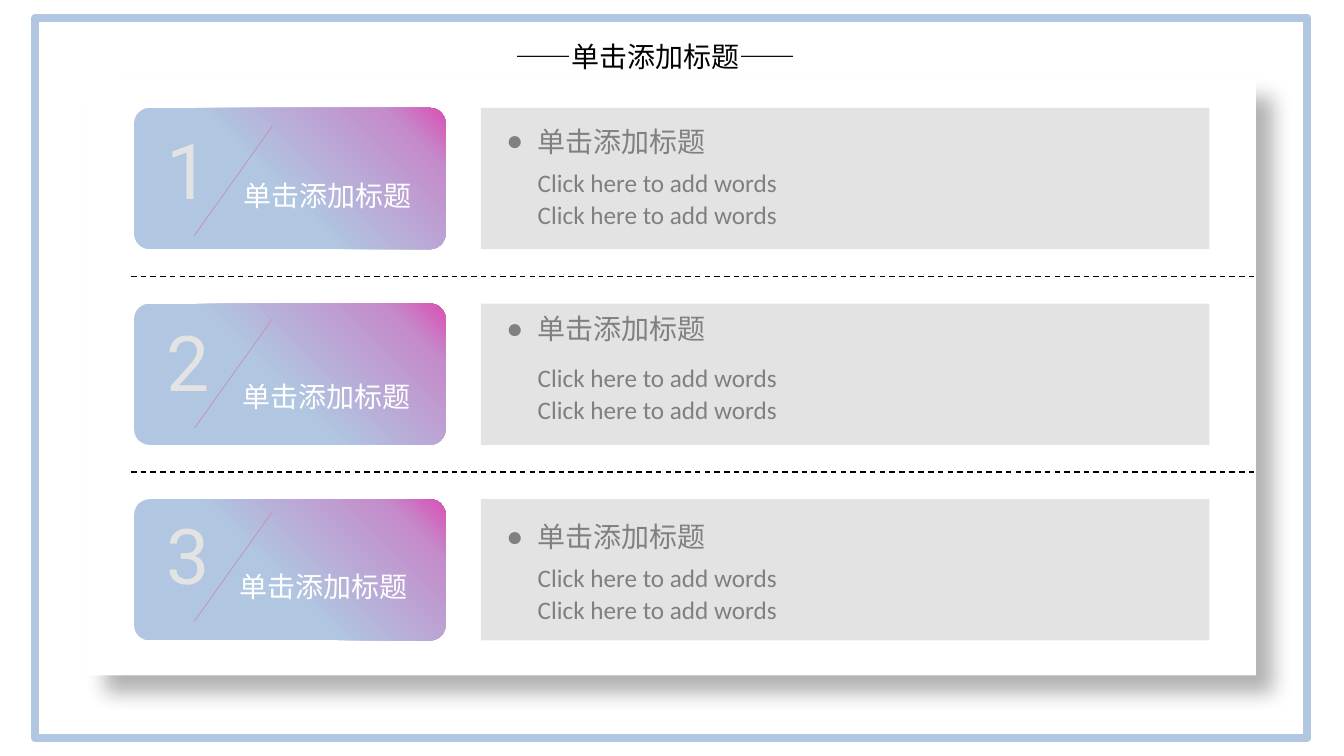
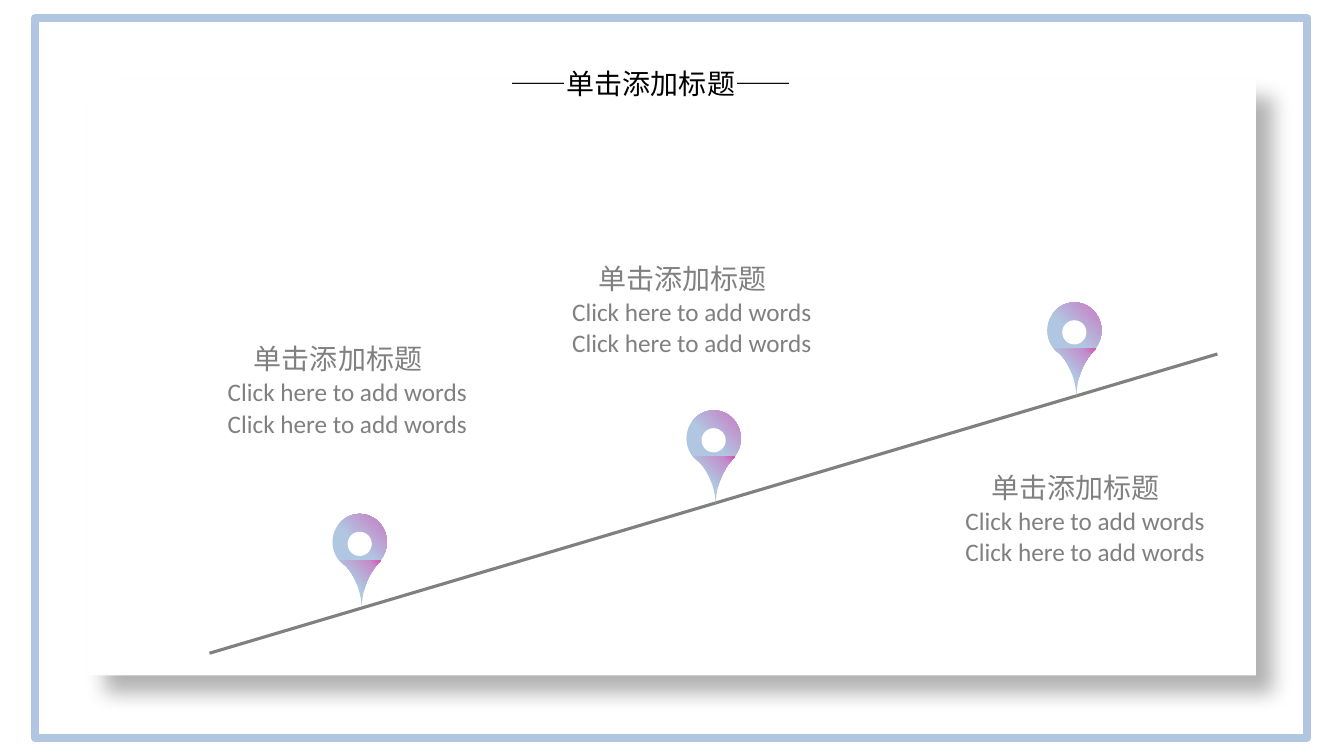
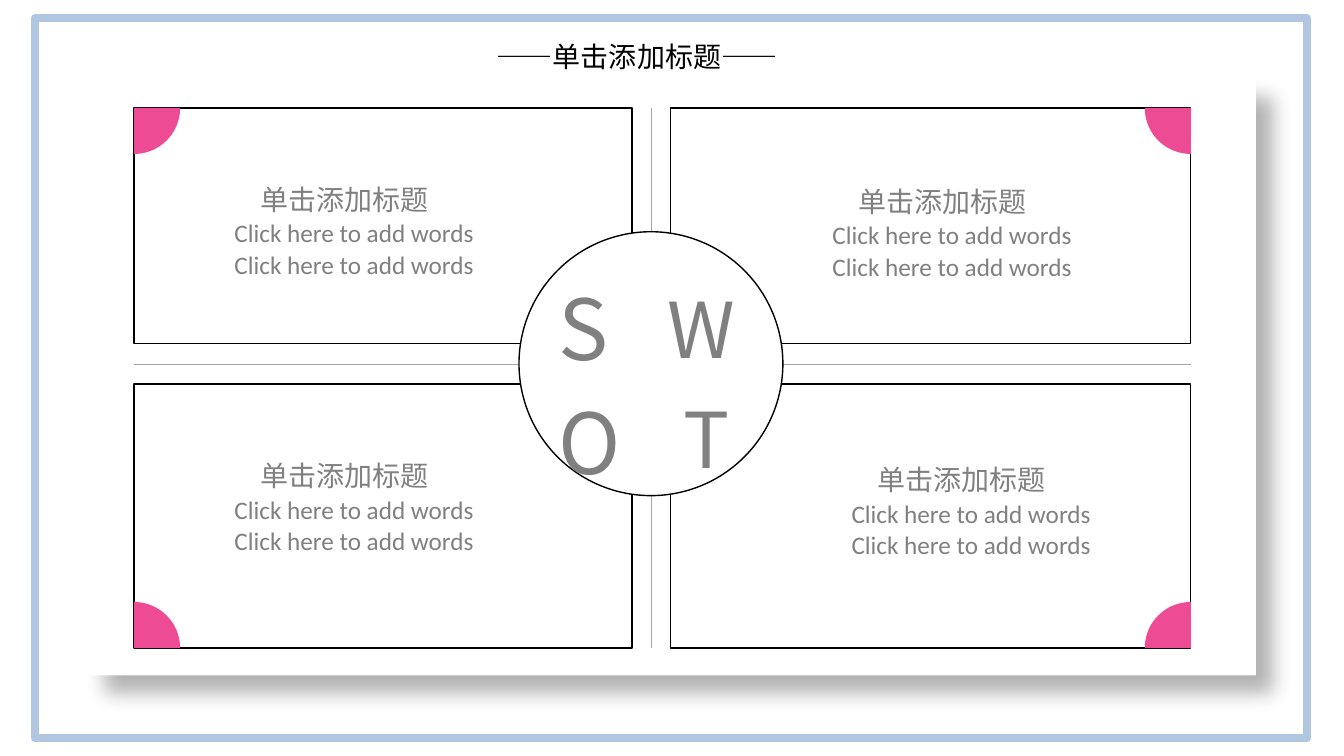
from dataclasses import dataclass

from lxml import etree
from pptx import Presentation
from pptx.dml.color import RGBColor
from pptx.enum import dml, shapes, text
from pptx.oxml import ns
from pptx.util import Cm, Pt

HEADING = "单击添加标题"
LINES = ["Click here to add words"] * 2


@dataclass(frozen=True)
class Theme:
    blue: str = "B0C6E1"
    pink: str = "ED4B93"
    rose: str = "C990A9"
    white: str = "FFFFFF"
    black: str = "000000"
    grey: str = "808080"
    rule: str = "A6A6A6"
    pale: str = "E3E3E3"
    gradient: tuple = ((0, "B0C6E1"), (45, "B0C6E1"), (86, "C48CCB"), (100, "D951B5"))
    cjk: str = "Noto Sans CJK SC"
    latin: str = "Calibri"
    digits: str = "Roboto"
    heading: int = 20
    body: int = 18
    number: int = 55
    cjk_leading: float = 1.28
    body_leading: float = 1.25


THEME = Theme()


def add_xml(parent, tag, **attributes):
    child = etree.SubElement(parent, ns.qn(tag))
    for name, value in attributes.items():
        child.set(name, str(value))
    return child


def write_text(para, content, size=THEME.heading, color=THEME.grey, font=THEME.cjk,
               leading=THEME.cjk_leading, before=0, indent=None, bullet=None):
    """Fill one paragraph; indent is in centimetres, leading in ems."""
    properties = para._p.get_or_add_pPr()
    if indent is not None:
        properties.set("marL", str(Cm(indent)))
        properties.set("indent", str(-Cm(indent) if bullet else 0))
        if bullet:
            add_xml(properties, "a:buChar", char=bullet)
        else:
            add_xml(properties, "a:buNone")
    para.alignment = text.PP_ALIGN.LEFT
    para.space_before = Pt(before)
    if leading:
        para.line_spacing = Pt(size * leading)
    span = para.add_run()
    span.text = content
    span.font.size = Pt(size)
    span.font.bold = False
    span.font.color.rgb = RGBColor.from_string(color)
    span.font.name = font
    add_xml(span._r.get_or_add_rPr(), "a:ea", typeface=font)


def write_list(frame, indent, gap=0, **heading_format):
    """Write a heading followed by the body lines."""
    write_text(frame.paragraphs[0], HEADING, indent=indent, **heading_format)
    for index, line in enumerate(LINES):
        write_text(frame.add_paragraph(), line, size=THEME.body, font=THEME.latin,
                   leading=THEME.body_leading, indent=0.79 if gap else 0,
                   before=0 if index else gap)


def bezier(start, first, second, end, steps=12):
    """Return the points after start on a cubic curve."""
    points = []
    for step in range(1, steps + 1):
        t = step / steps
        weights = ((1 - t) ** 3, 3 * t * (1 - t) ** 2, 3 * t * t * (1 - t), t ** 3)
        points.append(tuple(sum(w * p[axis] for w, p in zip(weights, (start, first, second, end)))
                            for axis in (0, 1)))
    return points


class Deck:
    def __init__(self):
        self.deck = Presentation()
        self.deck.slide_width, self.deck.slide_height = Cm(33.87), Cm(19.05)
        self.page = None

    def new_page(self, layout, title_left, title_top):
        self.page = self.deck.slides.add_slide(self.deck.slide_layouts[layout])
        border = self.shape("RECTANGLE", 0.89, 0.46, 32.05, 18.14, line=THEME.blue, weight=6)
        sheet = self.shape("RECTANGLE", 2.21, 2.01, 29.44, 15.01)
        effects = sheet.element.spPr.find(ns.qn("a:effectLst"))
        shadow = add_xml(effects, "a:outerShdw", blurRad=Pt(15), dist=Pt(18), dir=45 * 60000,
                         algn="tl", rotWithShape=0)
        add_xml(add_xml(shadow, "a:srgbClr", val=THEME.black), "a:alpha", val=30000)
        for depth, backdrop in enumerate((border, sheet)):
            self.page.shapes.element.insert(2 + depth, backdrop.element)
        title = self.page.shapes.title
        self.place(title, title_left, title_top, 8.59, 1.12)
        write_text(title.text_frame.paragraphs[0], f"——{HEADING}——", color=THEME.black)

    def place(self, box, left, top, width, height):
        box.left, box.top, box.width, box.height = map(Cm, (left, top, width, height))
        self.set_frame(box.text_frame)

    def set_frame(self, frame):
        frame.word_wrap = True
        frame.auto_size = text.MSO_AUTO_SIZE.NONE
        frame.vertical_anchor = text.MSO_ANCHOR.TOP
        frame.margin_left = frame.margin_right = Cm(0.25)
        frame.margin_top = frame.margin_bottom = Cm(0.13)

    def paint(self, shape, fill=THEME.white, line=None, weight=1):
        shape.shadow.inherit = False
        if fill == THEME.gradient:
            shape.fill.gradient()
            shape.fill.gradient_angle = 45
            stops = shape.element.spPr.find(".//" + ns.qn("a:gsLst"))
            stops.clear()
            for position, color in fill:
                stop = add_xml(stops, "a:gs", pos=position * 1000)
                add_xml(stop, "a:srgbClr", val=color)
        else:
            shape.fill.solid()
            shape.fill.fore_color.rgb = RGBColor.from_string(fill)
        if line:
            shape.line.color.rgb = RGBColor.from_string(line)
            shape.line.width = Pt(weight)
        else:
            shape.line.fill.background()
        return shape

    def shape(self, kind, left, top, width, height, **style):
        shape = self.page.shapes.add_shape(
            shapes.MSO_SHAPE[kind], Cm(left), Cm(top), Cm(width), Cm(height))
        return self.paint(shape, **style)

    def line(self, x1, y1, x2, y2, color, weight, dashed=False):
        line = self.page.shapes.add_connector(
            shapes.MSO_CONNECTOR.STRAIGHT, Cm(x1), Cm(y1), Cm(x2), Cm(y2))
        line.line.color.rgb = RGBColor.from_string(color)
        line.line.width = Pt(weight)
        if dashed:
            line.line.dash_style = dml.MSO_LINE.DASH
        add_xml(line.element.spPr, "a:effectLst")

    def text_box(self, left, top, width, height):
        box = self.page.shapes.add_textbox(Cm(left), Cm(top), Cm(width), Cm(height))
        self.set_frame(box.text_frame)
        return box.text_frame

    def label(self, content, left, top, width, height, **style):
        write_text(self.text_box(left, top, width, height).paragraphs[0], content, **style)

    def callout(self, left, top):
        write_list(self.text_box(left, top, 8.66, 2.77), indent=0.66)

    def panel(self, box, top, inset, gap):
        """Turn a body placeholder into a grey panel with a bulleted heading."""
        self.place(box, 12.12, top, 18.36, 3.56)
        box.fill.solid()
        box.fill.fore_color.rgb = RGBColor.from_string(THEME.pale)
        box.text_frame.margin_left = Cm(0.64)
        box.text_frame.margin_top = Cm(inset)
        write_list(box.text_frame, indent=0.79, gap=gap, bullet="●")

    def pin(self, left, top):
        head = self.shape("OVAL", left, top, 1.37, 1.42, fill=THEME.gradient)
        right, tip, corner = (1.04, 0), (0.56, 1.19), (0, 0)
        outline = [right, *bezier(right, (0.76, 0.28), (0.56, 0.71), tip),
                   *bezier(tip, (0.53, 0.69), (0.33, 0.25), corner)]
        x, y = left + 0.18, top + 1.17
        builder = self.page.shapes.build_freeform(Cm(x), Cm(y))
        builder.add_line_segments([(Cm(x + dx), Cm(y + dy)) for dx, dy in outline])
        tail = self.paint(builder.convert_to_shape(), fill=THEME.gradient)
        hole = self.shape("OVAL", left + 0.38, top + 0.45, 0.61, 0.61)
        self.page.shapes.add_group_shape([head, tail, hole])

    def quarter(self, x, y, start):
        """Draw a quarter disc centred on a corner, clockwise from start degrees."""
        radius = 1.16
        pie = self.shape("PIE", x - radius, y - radius, 2 * radius, 2 * radius, fill=THEME.pink)
        pie.adjustments[0] = start * 0.6
        pie.adjustments[1] = (start + 90) % 360 * 0.6


def build_cards(deck):
    deck.new_page(4, 12.73, 0.81)
    *bodies, spare = [box for box in deck.page.placeholders if box.placeholder_format.idx]
    spare.element.getparent().remove(spare.element)
    for y in (6.96, 11.89):
        deck.line(3.3, y, 31.65, y, THEME.black, 1, dashed=True)
    rows = [(0.36, 5.8, 5.89, 4.32), (0.15, 11.5, 5.87, 9.37), (0.46, 5.8, 5.79, 14.17)]
    for index, (body, (inset, gap, label_left, label_top)) in enumerate(zip(bodies, rows)):
        top = 2.72 + 4.93 * index
        card = deck.shape("ROUNDED_RECTANGLE", 3.38, top, 7.85, 3.56, fill=THEME.gradient)
        card.adjustments[0] = 0.11
        deck.panel(body, top, inset, gap)
        deck.label(str(index + 1), 3.94, 2.95 + 4.85 * index, 1.17, 2.57, size=THEME.number,
                   color=THEME.pale, font=THEME.digits, leading=None)
        slash_top = 3.18 + 4.86 * index
        deck.line(6.86, slash_top, 4.9, slash_top + 2.75, THEME.rose, 0.5)
        deck.label(HEADING, label_left, label_top, 5.21, 1.12, color=THEME.white)


def build_route(deck):
    deck.new_page(5, 12.62, 1.5)
    deck.line(5.28, 16.46, 30.68, 8.92, THEME.grey, 2.25)
    for left, top in ((8.38, 12.95), (17.3, 10.34), (26.39, 7.62)):
        deck.pin(left, top)
    for left, top in ((5.49, 8.43), (14.17, 6.4), (24.08, 11.66)):
        deck.callout(left, top)


def build_swot(deck):
    deck.new_page(5, 12.27, 0.81)
    columns, rows = ((3.38, 12.55), (16.9, 13.11)), ((2.72, 5.93), (9.68, 6.65))
    for top, height in rows:
        for left, width in columns:
            deck.shape("RECTANGLE", left, top, width, height, line=THEME.black)
    left, right, top, bottom = 3.38, 30.01, 2.72, 16.33
    deck.line(left, 9.17, right, 9.17, THEME.rule, 0.5)
    deck.line(16.41, top, 16.41, bottom, THEME.rule, 0.5)
    corners = ((left, top), (right, top), (right, bottom), (left, bottom))
    for index, (x, y) in enumerate(corners):
        deck.quarter(x, y, 90 * index)
    deck.shape("OVAL", 13.08, 5.84, 6.65, 6.65, line=THEME.black)
    for letter, x, y, size in (("S", 13.82, 6.68, 60), ("W", 16.56, 6.81, 55),
                               ("O", 13.82, 9.53, 60), ("T", 16.97, 9.58, 55)):
        deck.label(letter, x, y, 2.36, 2.8, size=size)
    for x, y in ((5.66, 4.42), (20.73, 4.47), (5.66, 11.38), (21.21, 11.48)):
        deck.callout(x, y)


def main():
    deck = Deck()
    build_cards(deck)
    build_route(deck)
    build_swot(deck)
    deck.deck.save("out.pptx")


if __name__ == "__main__":
    main()
